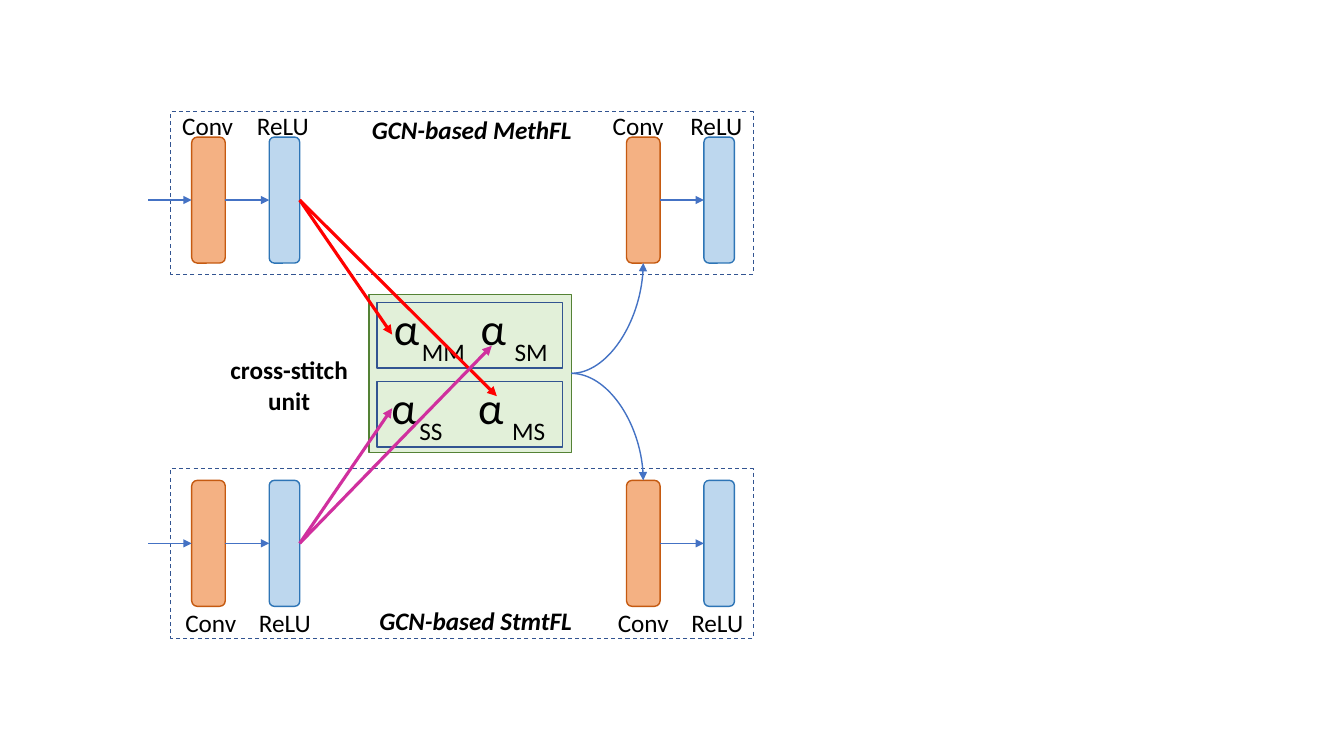
from pptx import Presentation
from pptx.dml.color import RGBColor
from pptx.enum.dml import MSO_LINE
from pptx.enum.shapes import MSO_CONNECTOR, MSO_SHAPE
from pptx.enum.text import PP_ALIGN
from pptx.oxml.ns import qn
from pptx.util import Pt
from lxml import etree

RECT, ROUNDED = MSO_SHAPE.RECTANGLE, MSO_SHAPE.ROUNDED_RECTANGLE
STRAIGHT, CURVE = MSO_CONNECTOR.STRAIGHT, MSO_CONNECTOR.CURVE
LEFT, CENTER = PP_ALIGN.LEFT, PP_ALIGN.CENTER
DASH = MSO_LINE.DASH
SIDE_TOP, SIDE_LEFT, SIDE_BOTTOM, SIDE_RIGHT = range(4)

FONT = "Calibri"
COLORS = {
    "text": "000000",
    "frame": "325491",
    "flow": "4472C4",
    "conv": "F4B183",
    "conv_line": "C55A11",
    "relu": "BDD7EE",
    "relu_line": "2E75B6",
    "unit": "E2F0D9",
    "unit_line": "548235",
    "method": "FF0000",
    "statement": "D0309E",
}
BLOCK_HEIGHT = 90
# kind, offset from the left edge of the network, width
BLOCKS = [("conv", 15.2, 24), ("relu", 70.6, 21.8),
          ("conv", 325.8, 24), ("relu", 381.1, 21.8)]
BLOCK_LABELS = {"conv": "Conv", "relu": "ReLU"}


def color(name):
    return RGBColor.from_string(COLORS[name])


def add_box(slide, preset, left, top, width, height, line, weight=1,
            fill=None, dash=None):
    box = slide.shapes.add_shape(preset, Pt(left), Pt(top), Pt(width), Pt(height))
    box.shadow.inherit = False
    if fill:
        box.fill.solid()
        box.fill.fore_color.rgb = color(fill)
    else:
        box.fill.background()
    box.line.color.rgb = color(line)
    box.line.width = Pt(weight)
    if dash:
        box.line.dash_style = dash
    return box


def add_text(slide, text, left, top, width, height=26, size=18, align=LEFT,
             bold=False, italic=False):
    frame = slide.shapes.add_textbox(
        Pt(left), Pt(top), Pt(width), Pt(height)).text_frame
    frame.word_wrap = True
    paragraph = frame.paragraphs[0]
    paragraph.alignment = align
    run = paragraph.add_run()
    run.text = text
    run.font.name = FONT
    run.font.size = Pt(size)
    run.font.bold = bold
    run.font.italic = italic
    run.font.color.rgb = color("text")


def add_arrow(slide, line, weight=1, start=(0, 0), end=(0, 0), kind=STRAIGHT,
              source=None, target=None):
    """Draw an arrow; source and target are (shape, side) and override the points."""
    arrow = slide.shapes.add_connector(kind, *(Pt(v) for v in (*start, *end)))
    if source:
        arrow.begin_connect(*source)
    if target:
        arrow.end_connect(*target)
    arrow.line.color.rgb = color(line)
    arrow.line.width = Pt(weight)
    etree.SubElement(arrow.line._get_or_add_ln(), qn("a:tailEnd"), type="triangle")
    properties = arrow._element.spPr
    etree.SubElement(properties, qn("a:effectLst"))
    if kind == CURVE:
        properties.find(qn("a:prstGeom")).set("prst", "curvedConnector2")


def add_cross_stitch_unit(slide, left, top, width, height):
    unit = add_box(slide, RECT, left, top, width, height, "unit_line", fill="unit")
    for row, subscripts in enumerate([("MM", "SM"), ("SS", "MS")]):
        row_top = top + 56.4 * row
        text_left = left + 10.8 - 1.8 * row
        for column, subscript in enumerate(subscripts):
            add_text(slide, "α", text_left + 62 * column, row_top + 1.4, 40, 42, size=32)
            add_text(slide, subscript, text_left + 20 + 66.2 * column,
                     row_top + 26.5, 50)
        add_box(slide, RECT, left + 5.8, row_top + 5.8, width - 12, 46.8, "frame")
    add_text(slide, "cross-stitch unit", left - 107.3, top + 39.6, 100.8, 46,
             align=CENTER, bold=True)
    return unit


def add_network(slide, left, top, width, height, title, title_offset, block_offset,
                label_offset, label_lefts):
    """Draw one network; return its first ReLU and its second Conv block."""
    add_box(slide, RECT, left, top, width, height, "frame", 0.75, dash=DASH)
    title_left, title_top = title_offset
    add_text(slide, title, left + title_left, top + title_top, 244.8,
             align=CENTER, bold=True, italic=True)
    blocks = []
    for (kind, offset, block_width), label_left in zip(BLOCKS, label_lefts):
        blocks.append(add_box(slide, ROUNDED, left + offset, top + block_offset,
                              block_width, BLOCK_HEIGHT, kind + "_line", fill=kind))
        add_text(slide, BLOCK_LABELS[kind], left + label_left, top + label_offset, 69)
    first_conv, first_relu, second_conv, second_relu = blocks
    add_arrow(slide, "flow", target=(first_conv, SIDE_LEFT),
              start=(left - 15.9, top + block_offset + BLOCK_HEIGHT / 2))
    for conv, relu in [(first_conv, first_relu), (second_conv, second_relu)]:
        add_arrow(slide, "flow", source=(conv, SIDE_RIGHT), target=(relu, SIDE_LEFT))
    return first_relu, second_conv


def add_exchange(slide, left, top, unit, relu, conv, conv_side, line, weight_points):
    """Link a network to the unit whose corner is given, and back again."""
    for x, y in weight_points:
        add_arrow(slide, line, 2.25, source=(relu, SIDE_RIGHT), end=(left + x, top + y))
    add_arrow(slide, "flow", kind=CURVE, source=(unit, SIDE_RIGHT),
              target=(conv, conv_side))


def main():
    presentation = Presentation()
    presentation.slide_width, presentation.slide_height = Pt(960), Pt(540)
    slide = presentation.slides.add_slide(presentation.slide_layouts[6])

    unit_corner = (263.5, 210.2)
    unit = add_cross_stitch_unit(slide, *unit_corner, 144.7, 113)
    method_relu, method_conv = add_network(
        slide, 121.7, 79.9, 416.2, 116, "GCN-based MethFL", (92.9, -2.1),
        block_offset=18, label_offset=-4.7, label_lefts=(1.4, 54.7, 308.9, 364.3))
    statement_relu, statement_conv = add_network(
        slide, 121.7, 334.8, 416.2, 121, "GCN-based StmtFL", (95.7, 94.3),
        block_offset=8.3, label_offset=95.4, label_lefts=(3.6, 56.2, 312.5, 365))
    add_exchange(slide, *unit_corner, unit, method_relu, method_conv, SIDE_BOTTOM,
                 "method", [(91.4, 72.8), (16.6, 28.8)])
    add_exchange(slide, *unit_corner, unit, statement_relu, statement_conv, SIDE_TOP,
                 "statement", [(16.6, 81.4), (87.8, 36.8)])
    presentation.save("out.pptx")


if __name__ == "__main__":
    main()
